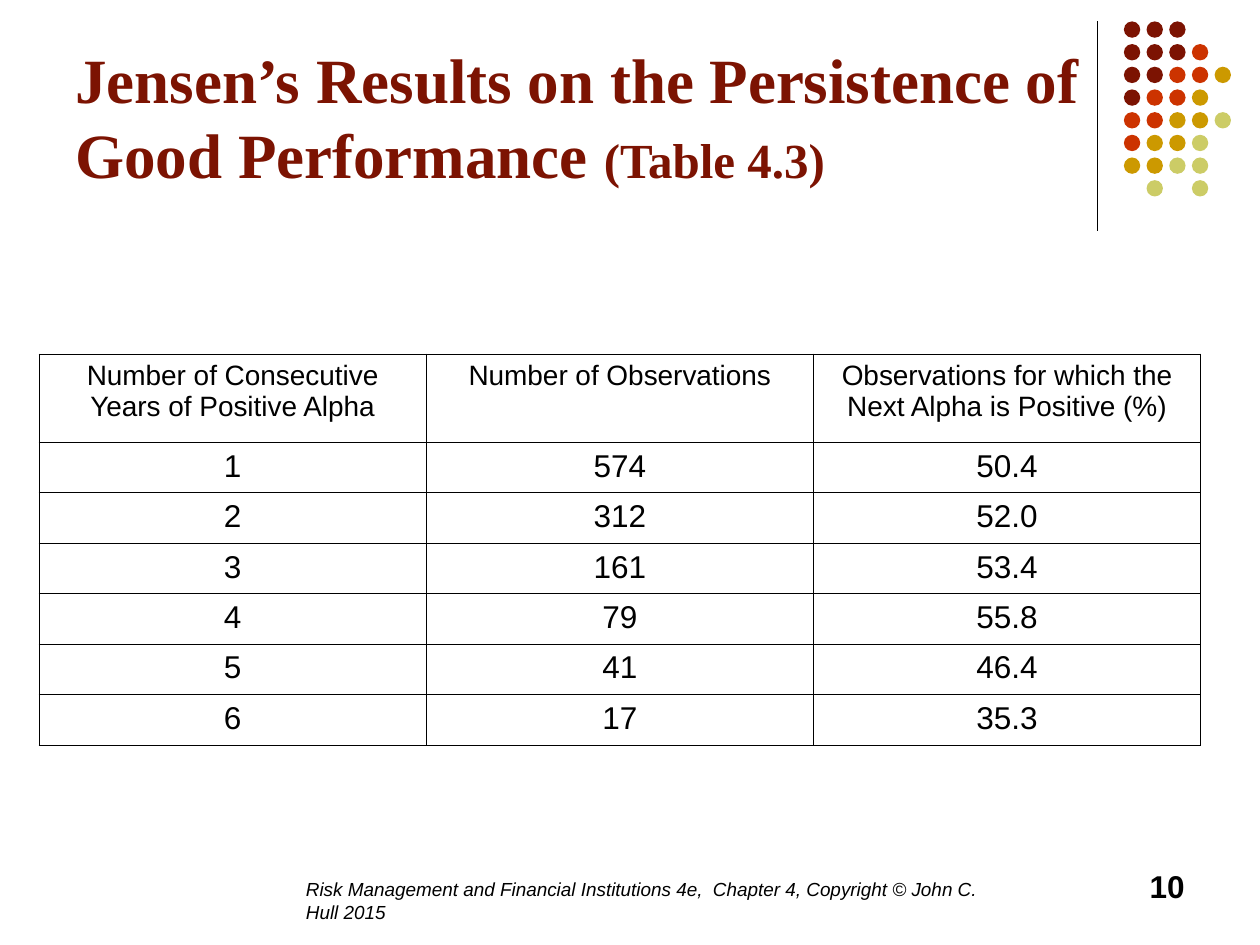
from lxml import etree
from pptx import Presentation
from pptx.dml.color import RGBColor
from pptx.enum.shapes import MSO_CONNECTOR, MSO_SHAPE
from pptx.enum.text import MSO_ANCHOR, PP_ALIGN
from pptx.oxml.ns import qn
from pptx.util import Inches, Pt

BLACK = RGBColor(0x00, 0x00, 0x00)
MAROON = RGBColor(0x7C, 0x13, 0x02)
RED = RGBColor(0xCC, 0x33, 0x00)
GOLD = RGBColor(0xCC, 0x99, 0x00)
OLIVE = RGBColor(0xCC, 0xCC, 0x66)

ELLIPSE = MSO_SHAPE.OVAL
STRAIGHT = MSO_CONNECTOR.STRAIGHT
TOP, BOTTOM = MSO_ANCHOR.TOP, MSO_ANCHOR.BOTTOM
LEFT, CENTER, RIGHT = PP_ALIGN.LEFT, PP_ALIGN.CENTER, PP_ALIGN.RIGHT

TITLE = dict(name="Times New Roman", size=Pt(36), bold=True)
SUBTITLE = dict(TITLE, size=Pt(28))
FOOTER = dict(name="Arial", size=Pt(10.8), italic=True)
NUMBER = dict(name="Arial", size=Pt(18), bold=True)
HEADER = dict(name="Arial", size=Pt(16))
BODY = dict(name="Arial", size=Pt(18))

# One string per row of dots; a space leaves a gap
DOT_COLORS = {"M": MAROON, "R": RED, "G": GOLD, "O": OLIVE}
DOT_ROWS = ["MMM", "MMMR", "MMRRG", "MRRG", "RRGGO", "RGGO", "GGOO", " O O"]

ROWS = [
    ("Number of Consecutive Years of Positive Alpha", "Number of Observations",
     "Observations for which the Next Alpha is Positive (%)"),
    ("1", "574", "50.4"),
    ("2", "312", "52.0"),
    ("3", "161", "53.4"),
    ("4", "79", "55.8"),
    ("5", "41", "46.4"),
    ("6", "17", "35.3"),
]


class SlideBuilder:
    """Holds the current page and draws each kind of element on it."""

    def __init__(self, page, border_width=Pt(0.45)):
        self.page = page
        self.border_width = border_width

    def add_span(self, para, text, style, color=BLACK):
        span = para.add_run()
        span.text = text
        for key, value in style.items():
            setattr(span.font, key, value)
        span.font.color.rgb = color

    def text(self, left, top, width, height, spans, color=BLACK,
             align=LEFT, anchor=TOP, bottom=0.05):
        box = self.page.shapes.add_textbox(
            Inches(left), Inches(top), Inches(width), Inches(height))
        frame = box.text_frame
        frame.word_wrap = True
        frame.vertical_anchor = anchor
        frame.margin_bottom = Inches(bottom)
        para = frame.paragraphs[0]
        para.alignment = align
        for text, style in spans:
            self.add_span(para, text, style, color)

    def line(self, x1, y1, x2, y2):
        line = self.page.shapes.add_connector(
            STRAIGHT, Inches(x1), Inches(y1), Inches(x2), Inches(y2))
        line.line.color.rgb = BLACK
        line.line.width = Pt(0.75)
        etree.SubElement(line._element.spPr, qn("a:effectLst"))

    def dots(self, left, top, pitch, size, rows):
        group = self.page.shapes.add_group_shape()
        for row, codes in enumerate(rows):
            for column, code in enumerate(codes):
                if code == " ":
                    continue
                dot = group.shapes.add_shape(
                    ELLIPSE, Inches(left + column * pitch),
                    Inches(top + row * pitch), Inches(size), Inches(size))
                dot.shadow.inherit = False
                dot.fill.solid()
                dot.fill.fore_color.rgb = DOT_COLORS[code]
                dot.line.fill.background()

    def borders(self, cell):
        properties = cell._tc.get_or_add_tcPr()
        for side in ("lnL", "lnR", "lnT", "lnB"):
            edge = etree.SubElement(properties, qn(f"a:{side}"),
                                    w=str(int(self.border_width)))
            fill = etree.SubElement(edge, qn("a:solidFill"))
            etree.SubElement(fill, qn("a:srgbClr"), val=str(BLACK))

    def table(self, left, top, width, row_heights, rows):
        table = self.page.shapes.add_table(
            len(rows), len(rows[0]), Inches(left), Inches(top),
            Inches(width), Inches(sum(row_heights))).table
        for row, (height, values) in enumerate(zip(row_heights, rows)):
            table.rows[row].height = Inches(height)
            for column, value in enumerate(values):
                cell = table.cell(row, column)
                self.borders(cell)
                cell.fill.background()
                para = cell.text_frame.paragraphs[0]
                para.alignment = CENTER
                self.add_span(para, value, BODY if row else HEADER)


def main():
    deck = Presentation()
    deck.slide_width, deck.slide_height = Inches(10), Inches(7.5)
    builder = SlideBuilder(deck.slides.add_slide(deck.slide_layouts[6]))

    # Corner decoration
    builder.line(8.71, 0.17, 8.71, 1.83)
    builder.dots(8.92, 0.17, 0.18, 0.13, DOT_ROWS)

    # Title
    builder.text(0.5, 0.13, 8.25, 1.42,
                 [("Jensen’s Results on the Persistence of Good Performance ", TITLE),
                  ("(Table 4.3)", SUBTITLE)],
                 color=MAROON, anchor=BOTTOM, bottom=0.03)

    # Footer and page number
    builder.text(2.33, 6.92, 5.56, 0.5,
                 [("Risk Management and Financial Institutions 4e,  Chapter 4, "
                   "Copyright © John C. Hull 2015", FOOTER)])
    builder.text(7.17, 6.83, 2.33, 0.5, [("10", NUMBER)], align=RIGHT)

    # Results table
    builder.table(0.31, 2.81, 9.22, [0.7] + [0.4] * 6, ROWS)

    deck.save("out.pptx")


if __name__ == "__main__":
    main()
